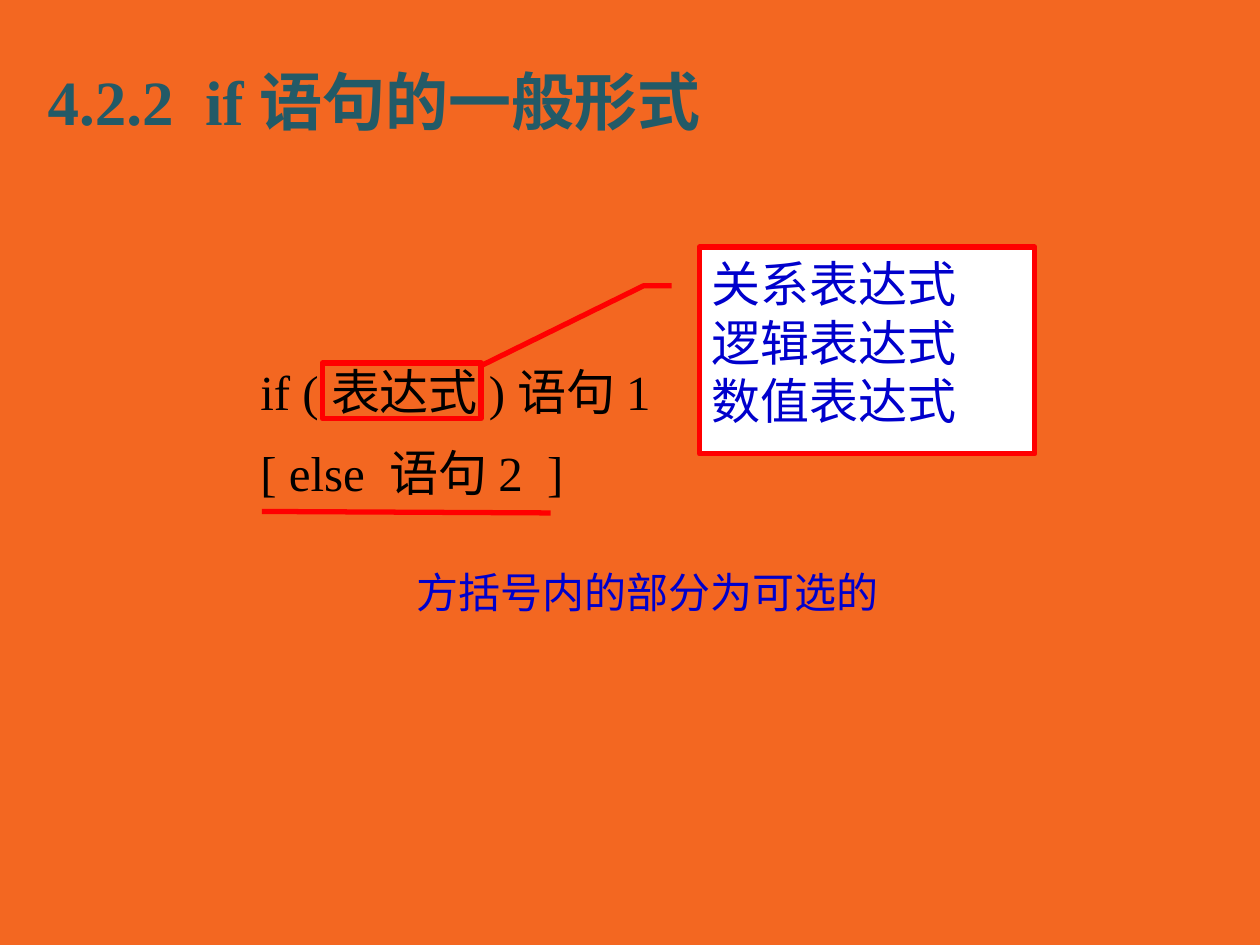
"""Build the slide on the general form of the if statement."""
from lxml.etree import SubElement
from pptx import Presentation
from pptx.dml.color import RGBColor
from pptx.enum.shapes import MSO_CONNECTOR, MSO_SHAPE
from pptx.enum.text import MSO_ANCHOR
from pptx.oxml.ns import qn
from pptx.util import Cm, Pt

ORANGE = RGBColor(0xF3, 0x67, 0x21)
TEAL = RGBColor(0x23, 0x5A, 0x67)
BLACK = RGBColor(0, 0, 0)
BLUE = RGBColor(0, 0, 0xCC)
RED = RGBColor(0xFF, 0, 0)
WHITE = RGBColor(0xFF, 0xFF, 0xFF)
FONT = "Times New Roman"

TITLE = ["4.2.2  if 语句的一般形式"]
SYNTAX = ["if ( 表达式 ) 语句 1", "[ else  语句 2  ]"]
EXPRESSIONS = ["关系表达式", "逻辑表达式", "数值表达式"]
NOTE = ["方括号内的部分为可选的"]

TITLE_BOX = (0.71, 1.12, 14.15, 1.8)
SYNTAX_BOX = (5, 6.93, 20.4, 4.57)
EXPRESSION_FRAME = (6.5, 7.32, 3.2, 1.12)
CALLOUT_BOX = (14.1, 4.98, 6.76, 4.17)
NOTE_BOX = (8.15, 11.3, 12.12, 1.27)
UNDERLINE = (5.28, 10.31, 11.1, 10.34)
CALLOUT_POINTS = (0.188, -0.083, 0.188, -0.167, 0.574, -0.651)


def lengths(values):
    return [Cm(value) for value in values]


def write(shape, lines, size, color, bold=False, line_spacing=None, gap=0):
    frame = shape.text_frame
    for index, line in enumerate(lines):
        paragraph = frame.add_paragraph() if index else frame.paragraphs[0]
        paragraph.line_spacing = line_spacing
        if index:
            paragraph.space_before = Pt(gap)
        run = paragraph.add_run()
        run.text = line
        run.font.name = FONT
        run.font.size = Pt(size)
        run.font.bold = bold
        run.font.color.rgb = color


def add_text(slide, box, *content, **style):
    shape = slide.shapes.add_textbox(*lengths(box))
    shape.text_frame.word_wrap = True
    write(shape, *content, **style)
    return shape


def add_outlined(slide, kind, box):
    shape = slide.shapes.add_shape(kind, *lengths(box))
    shape.shadow.inherit = False
    shape.line.color.rgb = RED
    shape.line.width = Pt(3)
    return shape


def add_text_shadow(run):
    effects = SubElement(run.font._element, qn("a:effectLst"))
    shadow = SubElement(effects, qn("a:outerShdw"), dist="38100", dir="2700000")
    SubElement(shadow, qn("a:srgbClr"), val="DDDDDD")
    run.font._element.find(qn("a:solidFill")).addnext(effects)


def main():
    presentation = Presentation()
    presentation.slide_width, presentation.slide_height = Cm(25.4), Cm(19.05)
    slide = presentation.slides.add_slide(presentation.slide_layouts[6])
    slide.background.fill.solid()
    slide.background.fill.fore_color.rgb = ORANGE

    title = add_text(slide, TITLE_BOX, TITLE, 36, TEAL, bold=True)
    title.text_frame.vertical_anchor = MSO_ANCHOR.MIDDLE
    add_text_shadow(title.text_frame.paragraphs[0].runs[0])
    add_text(slide, SYNTAX_BOX, SYNTAX, 28, BLACK, line_spacing=1.2, gap=5.6)

    frame = add_outlined(slide, MSO_SHAPE.RECTANGLE, EXPRESSION_FRAME)
    frame.fill.background()

    callout = add_outlined(slide, MSO_SHAPE.LINE_CALLOUT_2, CALLOUT_BOX)
    callout.fill.solid()
    callout.fill.fore_color.rgb = WHITE
    for index, value in enumerate(CALLOUT_POINTS):
        callout.adjustments[index] = value
    callout.text_frame.vertical_anchor = MSO_ANCHOR.TOP
    write(callout, EXPRESSIONS, 28, BLUE)
    for paragraph in callout.text_frame.paragraphs:
        paragraph.alignment = 1

    add_text(slide, NOTE_BOX, NOTE, 24, BLUE)

    underline = slide.shapes.add_connector(MSO_CONNECTOR.STRAIGHT, *lengths(UNDERLINE))
    underline.line.color.rgb = RED
    underline.line.width = Pt(3)
    SubElement(underline._element.spPr, qn("a:effectLst"))

    presentation.save("out.pptx")


if __name__ == "__main__":
    main()
